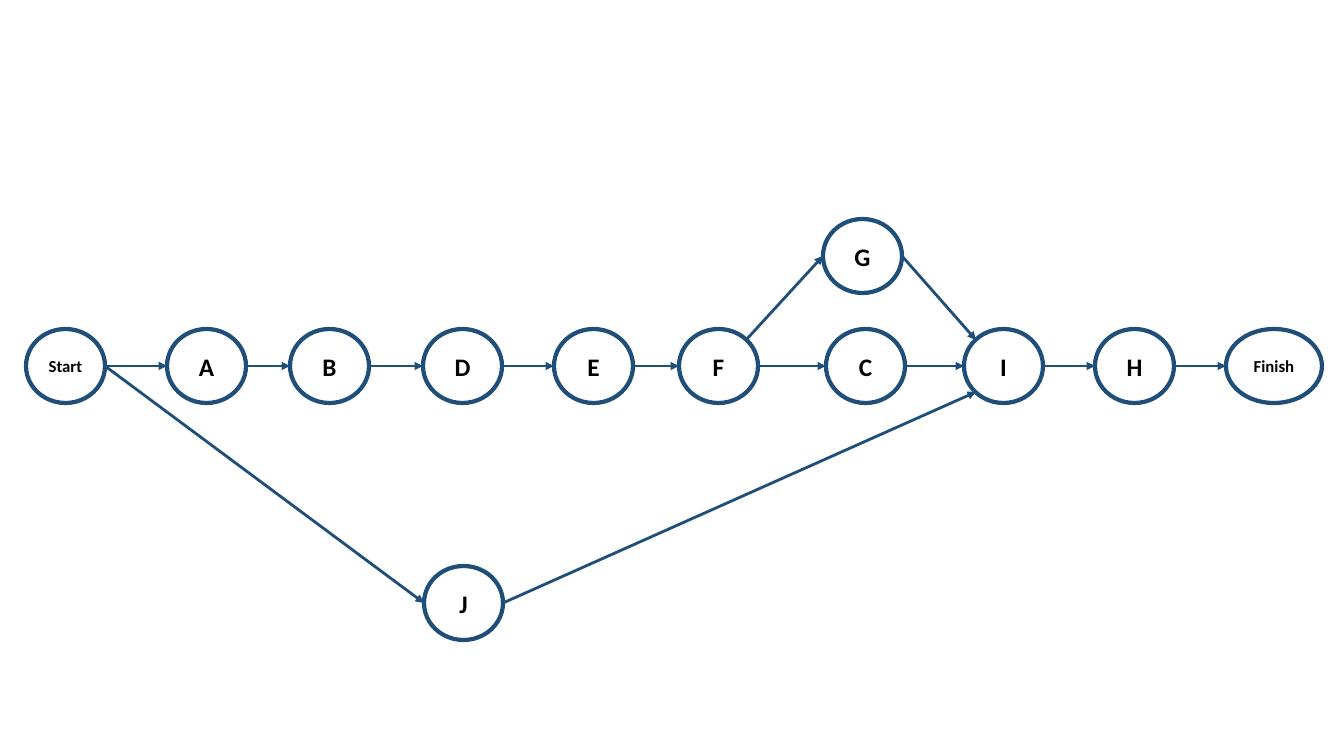
from dataclasses import dataclass
from enum import Enum
from math import sqrt

from lxml.etree import SubElement
from pptx import Presentation
from pptx.dml.color import RGBColor
from pptx.enum.shapes import MSO_CONNECTOR as Connector, MSO_SHAPE as Preset
from pptx.enum.text import MSO_ANCHOR as Anchor, PP_ALIGN as Align
from pptx.oxml.ns import qn
from pptx.slide import Slide
from pptx.util import Emu, Pt

EMU_PER_PX = 914400 / 100.8
COLORS = {"outline": "1F4E79", "text": "000000"}
FONT = "Calibri"
ROW_TOP = 329
DIAGONAL = sqrt(0.5)


class Site(Enum):
    """Connection point of an ellipse, in half-axes from its centre."""
    LEFT = (-1, 0)
    RIGHT = (1, 0)
    TOP_LEFT = (-DIAGONAL, -DIAGONAL)
    TOP_RIGHT = (DIAGONAL, -DIAGONAL)
    BOTTOM_LEFT = (-DIAGONAL, DIAGONAL)


@dataclass(frozen=True)
class Activity:
    """One node of the network, measured in pixels."""
    label: str
    left: int
    top: int = ROW_TOP
    width: int = 79
    height: int = 74
    text_size: int = 18

    def point(self, site: Site) -> tuple[int, int]:
        """Return the pixel position of a connection site."""
        across, down = site.value
        return (round(self.left + self.width / 2 * (1 + across)),
                round(self.top + self.height / 2 * (1 + down)))


@dataclass(frozen=True)
class Dependency:
    """An arrow from one activity to the next."""
    before: str
    after: str
    leaves: Site = Site.RIGHT
    enters: Site = Site.LEFT


ACTIVITIES = [
    Activity("Start", 26, text_size=12),
    Activity("A", 167),
    Activity("B", 290),
    Activity("D", 423),
    Activity("E", 554),
    Activity("F", 679),
    Activity("C", 826),
    Activity("I", 964),
    Activity("H", 1095),
    Activity("Finish", 1226, width=96, text_size=12),
    Activity("G", 823, top=219),
    Activity("J", 424, top=566),
]
MAIN_ROW = [activity.label for activity in ACTIVITIES if activity.top == ROW_TOP]
DEPENDENCIES = [Dependency(*pair) for pair in zip(MAIN_ROW, MAIN_ROW[1:])] + [
    Dependency("F", "G", leaves=Site.TOP_RIGHT),
    Dependency("G", "I", enters=Site.TOP_LEFT),
    Dependency("Start", "J"),
    Dependency("J", "I", enters=Site.BOTTOM_LEFT),
]


def px(*lengths: int) -> list[Emu]:
    """Turn pixels into EMU."""
    return [Emu(round(length * EMU_PER_PX)) for length in lengths]


def color(role: str) -> RGBColor:
    """Look up a colour by its role."""
    return RGBColor.from_string(COLORS[role])


def draw_activity(slide: Slide, activity: Activity) -> None:
    """Draw an outlined ellipse with a bold label."""
    node = slide.shapes.add_shape(
        Preset.OVAL,
        *px(activity.left, activity.top, activity.width, activity.height))
    node.shadow.inherit = False
    node.fill.background()
    node.line.color.rgb = color("outline")
    node.line.width = Pt(3)
    frame = node.text_frame
    frame.text = activity.label
    frame.word_wrap = False
    frame.vertical_anchor = Anchor.MIDDLE
    paragraph = frame.paragraphs[0]
    paragraph.alignment = Align.CENTER
    font = paragraph.runs[0].font
    font.name, font.size, font.bold = FONT, Pt(activity.text_size), True
    font.color.rgb = color("text")


def draw_dependency(slide: Slide, link: Dependency,
                    activities: dict[str, Activity]) -> None:
    """Draw a straight arrow between two activities."""
    start = activities[link.before].point(link.leaves)
    end = activities[link.after].point(link.enters)
    arrow = slide.shapes.add_connector(Connector.STRAIGHT, *px(*start, *end))
    arrow.line.color.rgb = color("outline")
    arrow.line.width = Pt(2)
    SubElement(arrow.line._get_or_add_ln(), qn("a:tailEnd"), type="triangle")
    SubElement(arrow._element.spPr, qn("a:effectLst"))


def main() -> None:
    """Build the activity network and save it."""
    deck = Presentation()
    deck.slide_width, deck.slide_height = px(1344, 756)
    slide = deck.slides.add_slide(deck.slide_layouts[6])
    activities = {activity.label: activity for activity in ACTIVITIES}
    for activity in ACTIVITIES:
        draw_activity(slide, activity)
    for link in DEPENDENCIES:
        draw_dependency(slide, link, activities)
    deck.save("out.pptx")


main()
